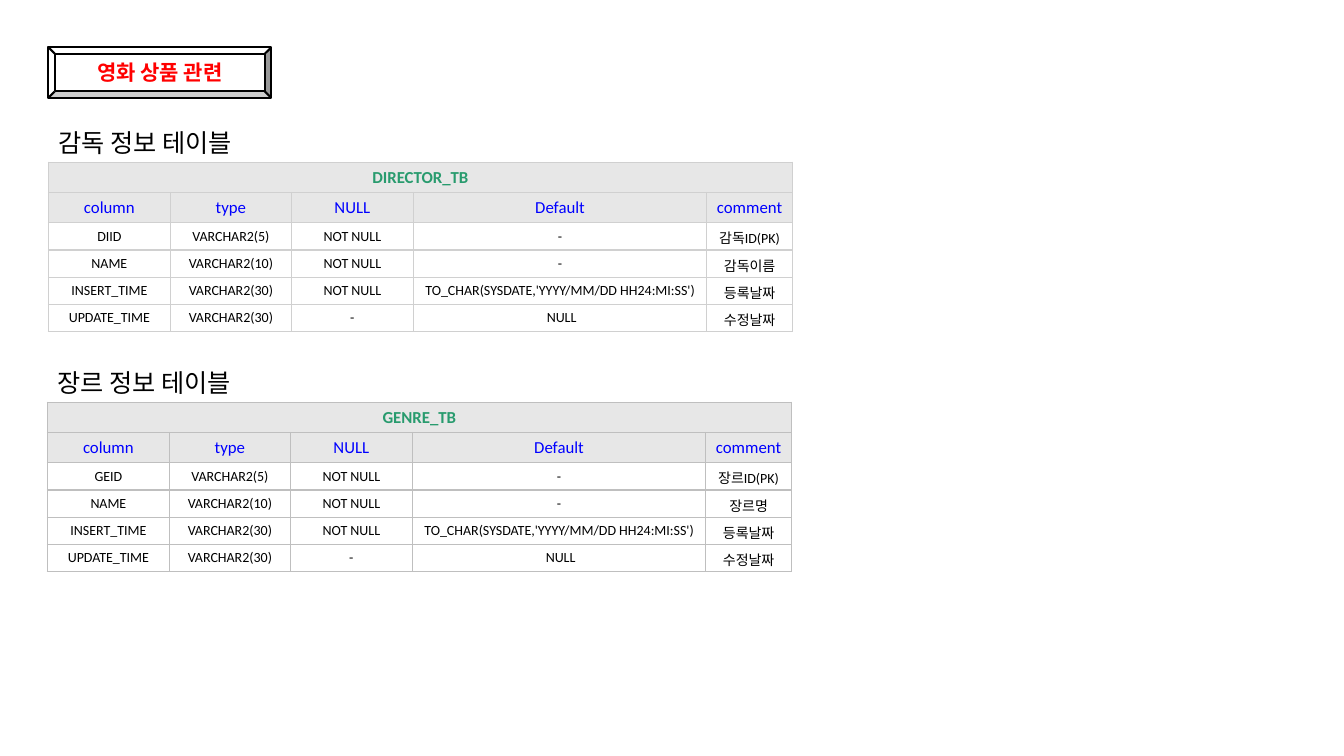
from dataclasses import dataclass

from lxml import etree
from pptx import Presentation
from pptx.dml.color import RGBColor
from pptx.enum import shapes, text
from pptx.oxml import ns
from pptx.util import Inches, Pt


@dataclass(frozen=True)
class Theme:
    font: str = "Calibri"
    black: str = "000000"
    white: str = "FFFFFF"
    badge_red: str = "FF0000"
    name_green: str = "289B6E"
    header_blue: str = "0000FF"
    header_fill: str = "E7E7E7"
    director_border: str = "D0D0D0"
    genre_border: str = "BFBFBF"
    badge_size: int = 15
    heading_size: int = 18
    header_size: int = 12
    body_size: int = 10


THEME = Theme()
COLUMN_WIDTHS = [1.21, 1.2, 1.21, 2.91, 0.85]
HEADER_HEIGHT, BODY_HEIGHT = 0.3, 0.27
HEADING_HEIGHT = 0.4
HEADERS = ["column", "type", "NULL", "Default", "comment"]
TIMESTAMP = "TO_CHAR(SYSDATE,'YYYY/MM/DD HH24:MI:SS')"


def schema_rows(key, key_comment, name_comment):
    return [
        [key, "VARCHAR2(5)", "NOT NULL", "-", key_comment],
        ["NAME", "VARCHAR2(10)", "NOT NULL", "-", name_comment],
        ["INSERT_TIME", "VARCHAR2(30)", "NOT NULL", TIMESTAMP, "등록날짜"],
        ["UPDATE_TIME", "VARCHAR2(30)", "-", " NULL", "수정날짜"],
    ]


def add_run(frame, words, size, color, bold=False, align=None):
    paragraph = frame.paragraphs[0]
    paragraph.alignment = align
    run = paragraph.add_run()
    run.text = words
    run.font.name = THEME.font
    run.font.size = Pt(size)
    run.font.bold = bold
    run.font.color.rgb = RGBColor.from_string(color)


def add_badge(slide, words):
    badge = slide.shapes.add_shape(
        shapes.MSO_SHAPE.BEVEL, Inches(0.48), Inches(0.47), Inches(2.21), Inches(0.5))
    badge.adjustments[0] = 0.125
    badge.shadow.inherit = False
    badge.fill.solid()
    badge.fill.fore_color.rgb = RGBColor.from_string(THEME.white)
    badge.line.color.rgb = RGBColor.from_string(THEME.black)
    badge.line.width = Pt(1.5)
    badge.text_frame.vertical_anchor = text.MSO_ANCHOR.MIDDLE
    add_run(badge.text_frame, words, THEME.badge_size, THEME.badge_red,
            bold=True, align=text.PP_ALIGN.CENTER)


def add_heading(slide, words, left, top):
    heading = slide.shapes.add_textbox(
        Inches(left), Inches(top), Inches(2.98), Inches(HEADING_HEIGHT))
    heading.text_frame.word_wrap = True
    heading.text_frame.auto_size = text.MSO_AUTO_SIZE.SHAPE_TO_FIT_TEXT
    add_run(heading.text_frame, words, THEME.heading_size, THEME.black)


def set_borders(cell, color):
    properties = cell._tc.get_or_add_tcPr()
    for index, side in enumerate(("lnL", "lnR", "lnT", "lnB")):
        border = etree.Element(ns.qn(f"a:{side}"), w=str(Pt(1)))
        fill = etree.SubElement(border, ns.qn("a:solidFill"))
        etree.SubElement(fill, ns.qn("a:srgbClr"), val=color)
        properties.insert(index, border)


def style_cell(cell, fill, border):
    cell.vertical_anchor = text.MSO_ANCHOR.MIDDLE
    cell.fill.solid()
    cell.fill.fore_color.rgb = RGBColor.from_string(fill)
    set_borders(cell, border)


def add_schema(slide, title, table_name, rows, left, top, border):
    add_heading(slide, title, left, top)
    heights = [HEADER_HEIGHT] * 2 + [BODY_HEIGHT] * len(rows)
    table = slide.shapes.add_table(
        len(heights), len(COLUMN_WIDTHS), Inches(left), Inches(top + HEADING_HEIGHT),
        Inches(sum(COLUMN_WIDTHS)), Inches(sum(heights))).table
    for column, width in zip(table.columns, COLUMN_WIDTHS):
        column.width = Inches(width)
    for row, height in zip(table.rows, heights):
        row.height = Inches(height)

    # Table name across all columns
    table.cell(0, 0).merge(table.cell(0, len(COLUMN_WIDTHS) - 1))
    add_run(table.cell(0, 0).text_frame, table_name, THEME.header_size,
            THEME.name_green, bold=True, align=text.PP_ALIGN.CENTER)
    for cell in table.rows[0].cells:
        style_cell(cell, THEME.header_fill, border)

    # Column headers and column definitions
    for row_index, values in enumerate([HEADERS] + rows, start=1):
        if row_index == 1:
            fill, size, color = THEME.header_fill, THEME.header_size, THEME.header_blue
        else:
            fill, size, color = THEME.white, THEME.body_size, THEME.black
        for cell, value in zip(table.rows[row_index].cells, values):
            style_cell(cell, fill, border)
            add_run(cell.text_frame, value, size, color, align=text.PP_ALIGN.CENTER)


def main():
    deck = Presentation()
    deck.slide_width, deck.slide_height = Inches(13.33), Inches(7.5)
    slide = deck.slides.add_slide(deck.slide_layouts[6])

    add_badge(slide, "영화 상품 관련")
    add_schema(slide, "감독 정보 테이블", "DIRECTOR_TB",
               schema_rows("DIID", "감독ID(PK)", "감독이름"),
               0.48, 1.21, THEME.director_border)
    add_schema(slide, "장르 정보 테이블", "GENRE_TB",
               schema_rows("GEID", "장르ID(PK)", "장르명"),
               0.47, 3.59, THEME.genre_border)

    deck.save("out.pptx")


if __name__ == "__main__":
    main()
